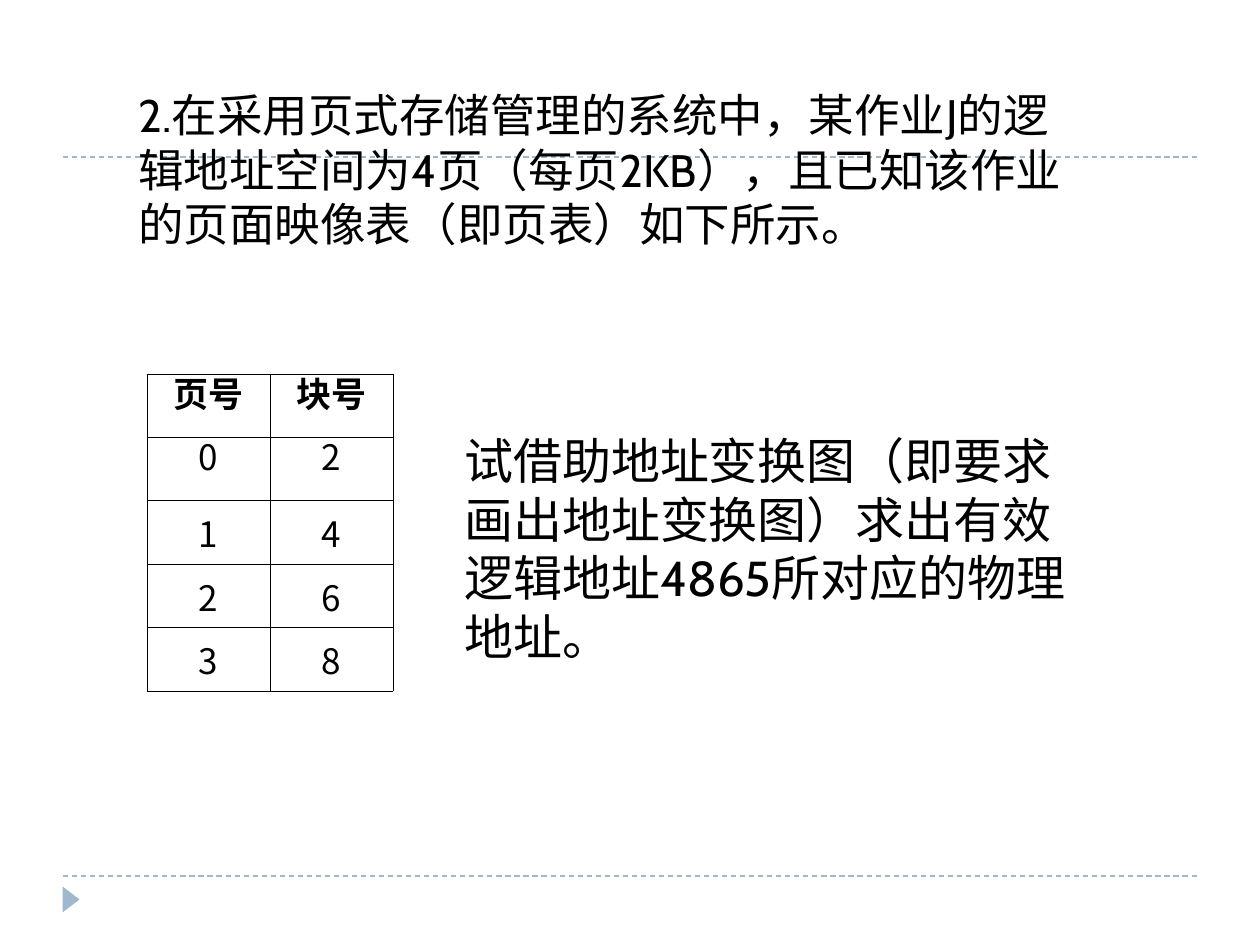
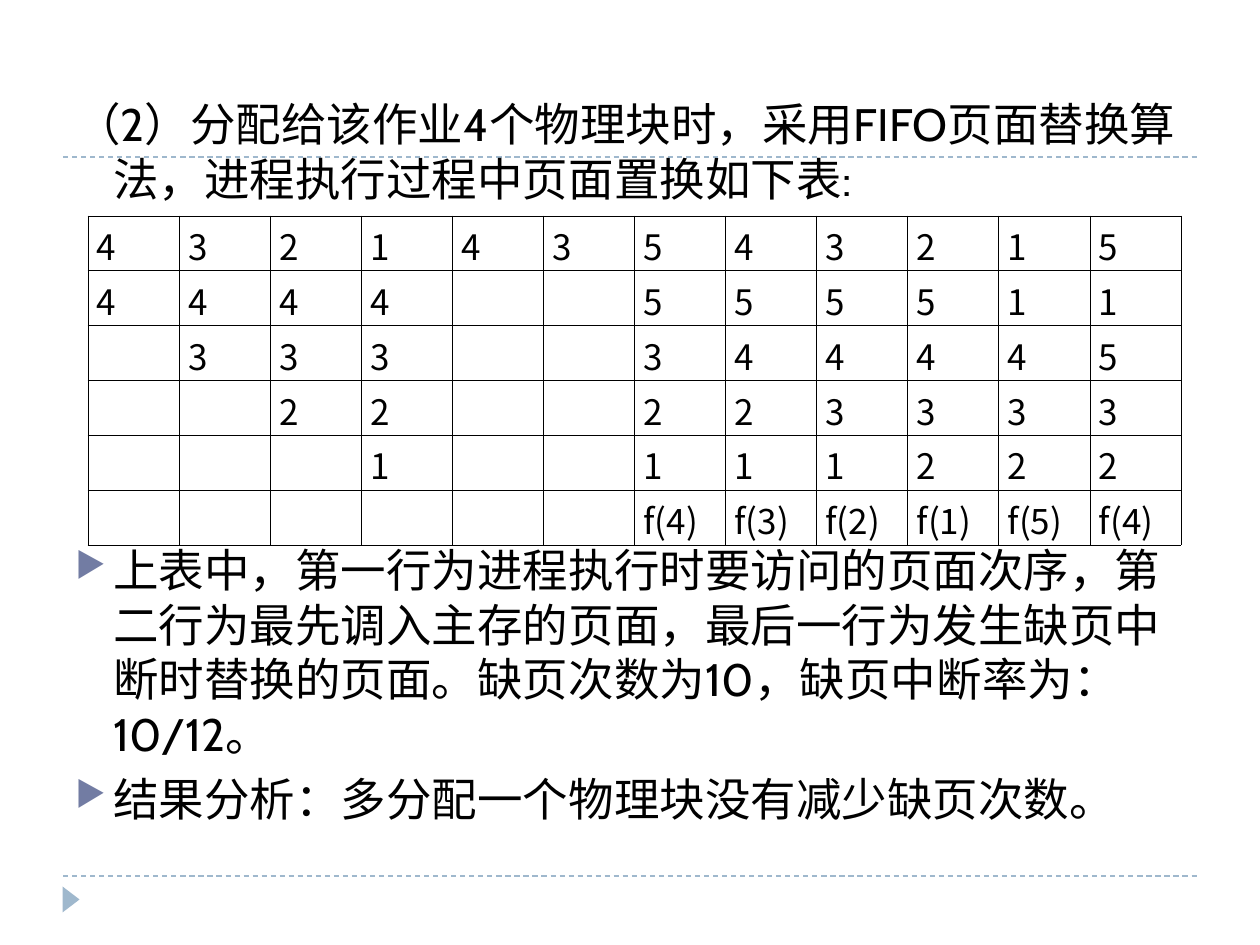
import pptx
import pptx.util
import pptx.dml.color
import pptx.enum.dml
import pptx.enum.shapes
import pptx.enum.text
import pptx.oxml
import pptx.oxml.ns

SCALE = 914400 / 126  # EMU in one px
WIDE, HIGH = 1260, 945
BLACK, RULE, MARK = "000000", "9FB8CD", "727CA3"
BODY, HEAD, CELL = "Cabin", "Calibri", "Noto Sans CJK SC"
INDENT = 38
ALIGN = pptx.enum.text.PP_ALIGN
ANCHOR = pptx.enum.text.MSO_ANCHOR
SHAPE = pptx.enum.shapes.MSO_SHAPE

PAGES = ["页号 块号", "0 2", "1 4", "2 6", "3 8"]
# One row per line, "-" for an empty cell
FIFO = [
    "4 3 2 1 4 3 5 4 3 2 1 5",
    "4 4 4 4 - - 5 5 5 5 1 1",
    "- 3 3 3 - - 3 4 4 4 4 5",
    "- - 2 2 - - 2 2 3 3 3 3",
    "- - - 1 - - 1 1 1 2 2 2",
    "- - - - - - f(4) f(3) f(2) f(1) f(5) f(4)",
]


def px(num):
    return pptx.util.Emu(round(num * SCALE))


def tint(code):
    return pptx.dml.color.RGBColor.from_string(code)


def apply(item, form):
    for key, value in form.items():
        setattr(item, key, value)


def node(xml):
    tag, rest = xml.split(" ", 1)
    space = pptx.oxml.ns.nsdecls("a")
    return pptx.oxml.parse_xml(f"<a:{tag} {space} {rest}")


def write(para, text, size, face, bold=False):
    run = para.add_run()
    run.text = text
    apply(run.font, {"size": pptx.util.Pt(size), "name": face, "bold": bold})
    run.font.color.rgb = tint(BLACK)
    run._r.get_or_add_rPr().append(node(f'ea typeface="{face}"/>'))


def mark(para):
    props = para._p.get_or_add_pPr()
    for xml in (f'buClr ><a:srgbClr val="{MARK}"/></a:buClr>',
                'buSzPct val="76000"/>', 'buChar char="▶"/>'):
        props.append(node(xml))


def prose(slide, box, texts, size=26, left=0, first=0, bullet=False):
    frame = slide.shapes.add_textbox(*map(px, box)).text_frame
    apply(frame, {"word_wrap": True, "vertical_anchor": ANCHOR.TOP})
    for num, text in enumerate(texts):
        para = frame.add_paragraph() if num else frame.paragraphs[0]
        props = para._p.get_or_add_pPr()
        props.set("marL", str(px(left)))
        props.set("indent", str(px(first)))
        if bullet:
            mark(para)
        if num:
            para.space_before = pptx.util.Pt(6)
        write(para, text, size, BODY)


def edge(cell):
    props = cell._tc.get_or_add_tcPr()
    for side in "LRTB":
        props.append(node(
            f'ln{side} w="5715"><a:solidFill><a:srgbClr val="{BLACK}"/>'
            f'</a:solidFill></a:ln{side}>'))
    cell.fill.background()


def grid(slide, box, rows, form, align, tight=0, head=False):
    """Draw a ruled table; the first `tight` rows have 13 pt lines."""
    left, top, wide, high = box
    data = [row.split() for row in rows]
    table = slide.shapes.add_table(
        len(data), len(data[0]), *map(px, box)).table
    apply(table, {"first_row": False, "horz_banding": False})
    for col in table.columns:
        col.width = px(wide / len(data[0]))
    for num, row in enumerate(data):
        table.rows[num].height = px(high / len(data))
        for pos, text in enumerate(row):
            cell = table.cell(num, pos)
            edge(cell)
            apply(cell, form)
            if text == "-":
                continue
            para = cell.text_frame.paragraphs[0]
            para.alignment = align
            if num < tight:
                para.line_spacing = pptx.util.Pt(13)
            top_row = head and num == 0
            write(para, text, 20, HEAD if top_row else CELL, top_row)


def frame(slide, box):
    """Dashed rules and the corner arrow shared by the slides."""
    left, top, wide, high = box
    kind = pptx.enum.shapes.MSO_CONNECTOR.STRAIGHT
    for y in (top, top + high):
        rule = slide.shapes.add_connector(
            kind, px(left), px(y), px(left + wide), px(y))
        rule.line.color.rgb = tint(RULE)
        apply(rule.line, {"width": pptx.util.Pt(0.75),
                          "dash_style": pptx.enum.dml.MSO_LINE.DASH})
        rule._element.spPr.append(node("effectLst />"))
    arrow = slide.shapes.add_shape(
        SHAPE.ISOSCELES_TRIANGLE, px(left - 5), px(top + high + 15),
        px(26), px(17))
    arrow.rotation = 90
    arrow.shadow.inherit = False
    arrow.fill.solid()
    arrow.fill.fore_color.rgb = tint(RULE)
    arrow.line.fill.background()


def task(slide, box):
    """Address exercise: statement, page table, question."""
    left, top, wide, high = box
    prose(slide, (left + 25, top + 81, 1014, 197), [
        "2.在采用页式存储管理的系统中，某作业J的逻辑地址空间为4页"
        "（每页2KB），且已知该作业的页面映像表（即页表）如下所示。",
    ], left=INDENT)
    form = {"vertical_anchor": ANCHOR.MIDDLE, "margin_left": px(10),
            "margin_right": px(10), "margin_top": px(6),
            "margin_bottom": px(6)}
    grid(slide, (left + 84, top + 374, 246, 317), PAGES, form,
         ALIGN.CENTER, tight=2, head=True)
    prose(slide, (left + 389, top + 424, 630, 248), [
        "试借助地址变换图（即要求画出地址变换图）求出有效逻辑地址4865"
        "所对应的物理地址。",
    ], size=28)


def answer(slide, box):
    """FIFO result: lead line, replacement table, remarks."""
    left, top, wide, high = box
    hang = {"left": INDENT, "first": -INDENT}
    prose(slide, (left, top + 90, wide, 126), [
        "（2）分配给该作业4个物理块时，采用FIFO页面替换算法，"
        "进程执行过程中页面置换如下表:",
    ], **hang)
    form = {"margin_left": px(9), "margin_right": px(9),
            "margin_top": px(4), "margin_bottom": 0}
    grid(slide, (left + 25, top + 216, 1093, 329), FIFO, form,
         ALIGN.JUSTIFY)
    prose(slide, (left, top + 536, wide, 308), [
        "上表中，第一行为进程执行时要访问的页面次序，第二行为最先调入"
        "主存的页面，最后一行为发生缺页中断时替换的页面。"
        "缺页次数为10，缺页中断率为：10/12。",
        "结果分析：多分配一个物理块没有减少缺页次数。",
    ], bullet=True, **hang)


def main():
    deck = pptx.Presentation()
    apply(deck, {"slide_width": px(WIDE), "slide_height": px(HIGH)})
    for fill in (task, answer):
        slide = deck.slides.add_slide(deck.slide_layouts[6])
        frame(slide, (63, 157, 1134, 719))
        fill(slide, (63, 0, 1134, HIGH))
    deck.save("out.pptx")


if __name__ == "__main__":
    main()
